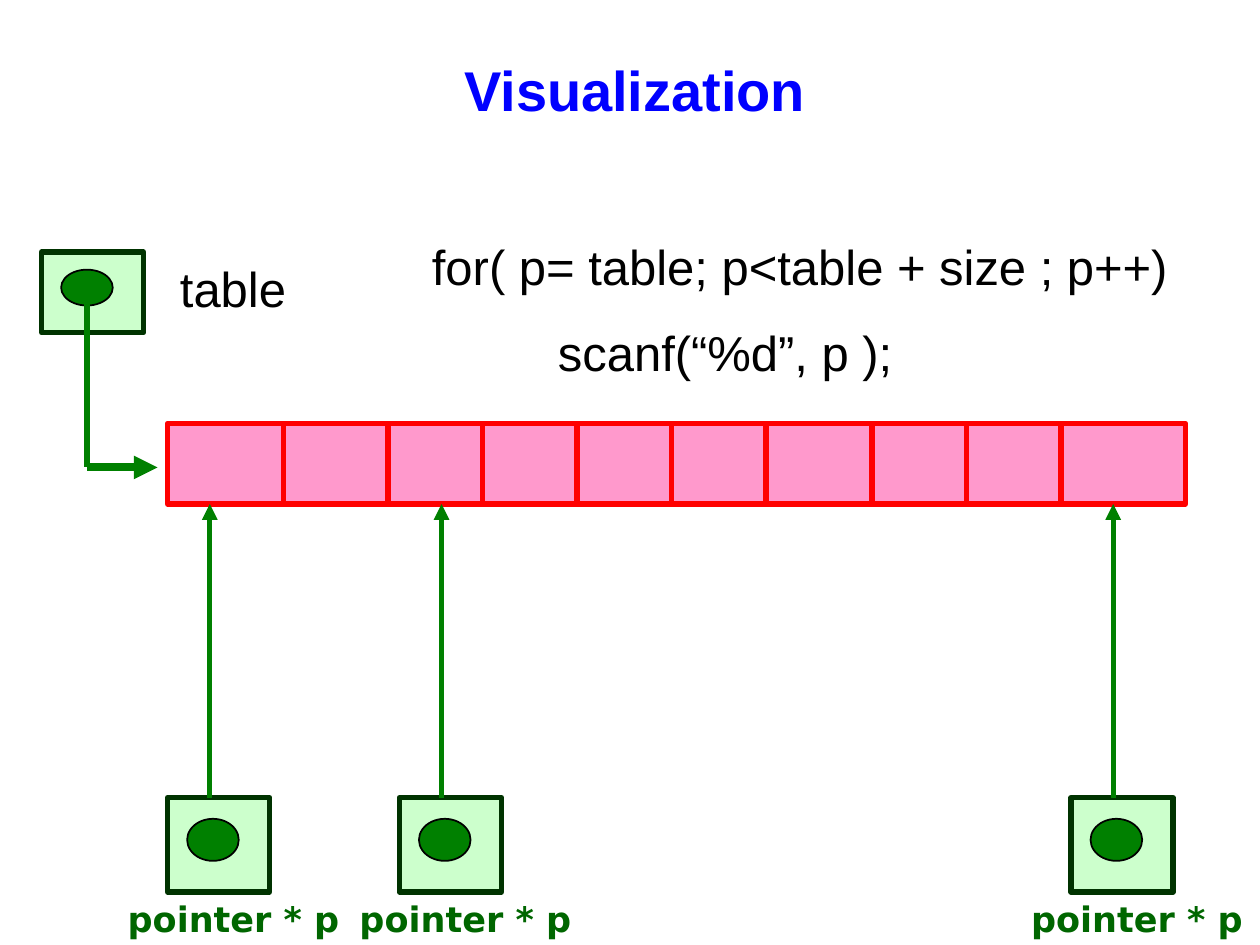
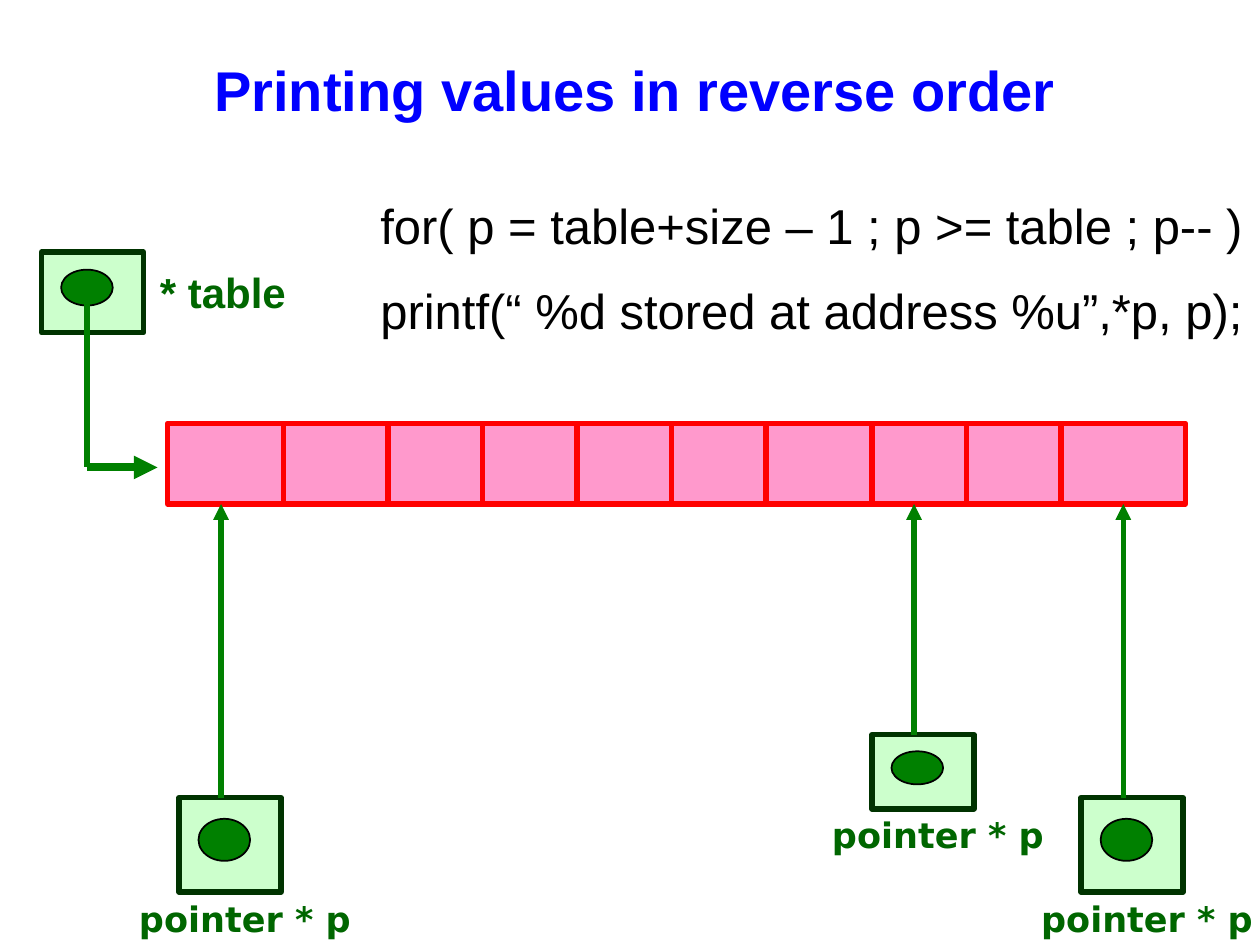
from pptx import Presentation
from pptx.dml.color import RGBColor
from pptx.enum.shapes import MSO_CONNECTOR, MSO_SHAPE
from pptx.enum.text import MSO_ANCHOR, MSO_AUTO_SIZE, PP_ALIGN
from pptx.oxml.ns import qn
from pptx.util import Inches, Pt
from lxml.etree import SubElement

COLOURS = {
    "title": "0000FF",
    "text": "000000",
    "label": "006600",
    "cell": "FF99CC",
    "cell_edge": "FF0000",
    "pointer": "CCFFCC",
    "pointer_edge": "003300",
    "arrow": "008000",
}
ARRAY_LEFT, ARRAY_TOP, ARRAY_WIDTH, ARRAY_HEIGHT = 1.33, 3.36, 8.08, 0.64
ARRAY_BOTTOM = ARRAY_TOP + ARRAY_HEIGHT
CELL_EDGES = [2.25, 3.08, 3.83, 4.58, 5.33, 6.08, 6.92, 7.67, 8.42]
POINTER_WIDTH = 0.81


def colour(name):
    return RGBColor.from_string(COLOURS[name])


class Diagram:
    def __init__(self):
        self.deck = Presentation()
        self.deck.slide_width = Inches(10)
        self.deck.slide_height = Inches(7.5)

    def start(self, title):
        self.page = self.deck.slides.add_slide(self.deck.slide_layouts[5])
        self.shapes = self.page.shapes
        box = self.page.shapes.title
        box.left, box.top = Inches(1.58), Inches(0.17)
        box.width, box.height = Inches(6.92), Inches(1.08)
        box.text_frame.vertical_anchor = MSO_ANCHOR.MIDDLE
        para = box.text_frame.paragraphs[0]
        para.alignment = PP_ALIGN.CENTER
        self.span(para, title, 32, "title", bold=True)

    def group(self):
        self.shapes = self.page.shapes.add_group_shape().shapes

    def ungroup(self):
        self.shapes = self.page.shapes

    def span(self, para, text, size, ink, bold=False, font="Arial"):
        span = para.add_run()
        span.text = text
        span.font.name = font
        span.font.size = Pt(size)
        span.font.bold = bold
        span.font.color.rgb = colour(ink)

    def text(self, left, top, width, height, lines, size, ink="text",
             bold=False, font="Arial", indent=0):
        box = self.shapes.add_textbox(
            Inches(left), Inches(top), Inches(width), Inches(height))
        frame = box.text_frame
        frame.word_wrap = True
        frame.auto_size = MSO_AUTO_SIZE.SHAPE_TO_FIT_TEXT
        for number, line in enumerate(lines):
            para = frame.paragraphs[0]
            if number:
                para = frame.add_paragraph()
                para.space_before = Pt(size * 0.55)
                para._p.get_or_add_pPr().set("marL", str(Inches(indent)))
            self.span(para, line, size, ink, bold, font)

    def shape(self, kind, left, top, width, height, fill, edge, weight):
        shape = self.shapes.add_shape(
            kind, Inches(left), Inches(top), Inches(width), Inches(height))
        shape.shadow.inherit = False
        shape.fill.solid()
        shape.fill.fore_color.rgb = colour(fill)
        shape.line.color.rgb = colour(edge)
        shape.line.width = Pt(weight)

    def line(self, start, end, ink, weight=3, arrow=False):
        line = self.shapes.add_connector(
            MSO_CONNECTOR.STRAIGHT, *[Inches(n) for n in (*start, *end)])
        line.line.color.rgb = colour(ink)
        line.line.width = Pt(weight)
        if arrow:
            SubElement(line.line._get_or_add_ln(), qn("a:tailEnd"), type="triangle")
        SubElement(line._element.spPr, qn("a:effectLst"))

    def cell(self, left, top, height, dot_offset):
        self.shape(MSO_SHAPE.RECTANGLE, left, top, POINTER_WIDTH, height,
                   "pointer", "pointer_edge", 3)
        self.shape(MSO_SHAPE.OVAL, left + 0.155, top + dot_offset, 0.41,
                   height * 0.445, "arrow", "text", 1)

    def array(self):
        self.group()
        self.shape(MSO_SHAPE.RECTANGLE, ARRAY_LEFT, ARRAY_TOP, ARRAY_WIDTH,
                   ARRAY_HEIGHT, "cell", "cell_edge", 3)
        for edge in CELL_EDGES:
            self.line((edge, ARRAY_TOP), (edge, ARRAY_BOTTOM), "cell_edge")
        self.cell(0.33, 2, 0.64, 0.14)
        self.line((0.69, 2.29), (0.69, 3.71), "arrow")
        self.line((0.69, 3.71), (1.25, 3.71), "arrow", 4.5, arrow=True)
        self.ungroup()

    def pointer(self, left, top=6.33, height=0.75):
        self.group()
        self.cell(left, top, height, height * 0.225)
        tip = left + 0.335
        self.line((tip, top), (tip, ARRAY_BOTTOM), "arrow", arrow=True)
        self.text(left - 0.415, top + height - 0.01, 2.17, 0.43,
                  ["pointer * p"], 20, "label", True, "DejaVu Sans")
        self.ungroup()


def main():
    diagram = Diagram()

    diagram.start("Visualization")
    diagram.array()
    diagram.text(1.33, 2, 2.25, 0.57, ["table"], 28)
    diagram.text(3.33, 1.83, 6.33, 1.27,
                 ["for( p= table; p<table + size ; p++)", "scanf(“%d”, p );"],
                 28, indent=1)
    for left in (1.33, 3.17, 8.5):
        diagram.pointer(left)

    diagram.start("Printing values in reverse order")
    diagram.array()
    diagram.text(1.17, 2.07, 2.25, 0.5, ["* table"], 24, "label", True)
    diagram.text(2.92, 1.5, 7.08, 1.27,
                 ["for( p = table+size – 1 ; p >= table ; p-- )",
                  "printf(“ %d stored at address %u”,*p, p);"], 28)
    diagram.pointer(8.58)
    diagram.pointer(6.92, 5.83, 0.59)
    diagram.pointer(1.42)

    diagram.deck.save("out.pptx")


if __name__ == "__main__":
    main()
